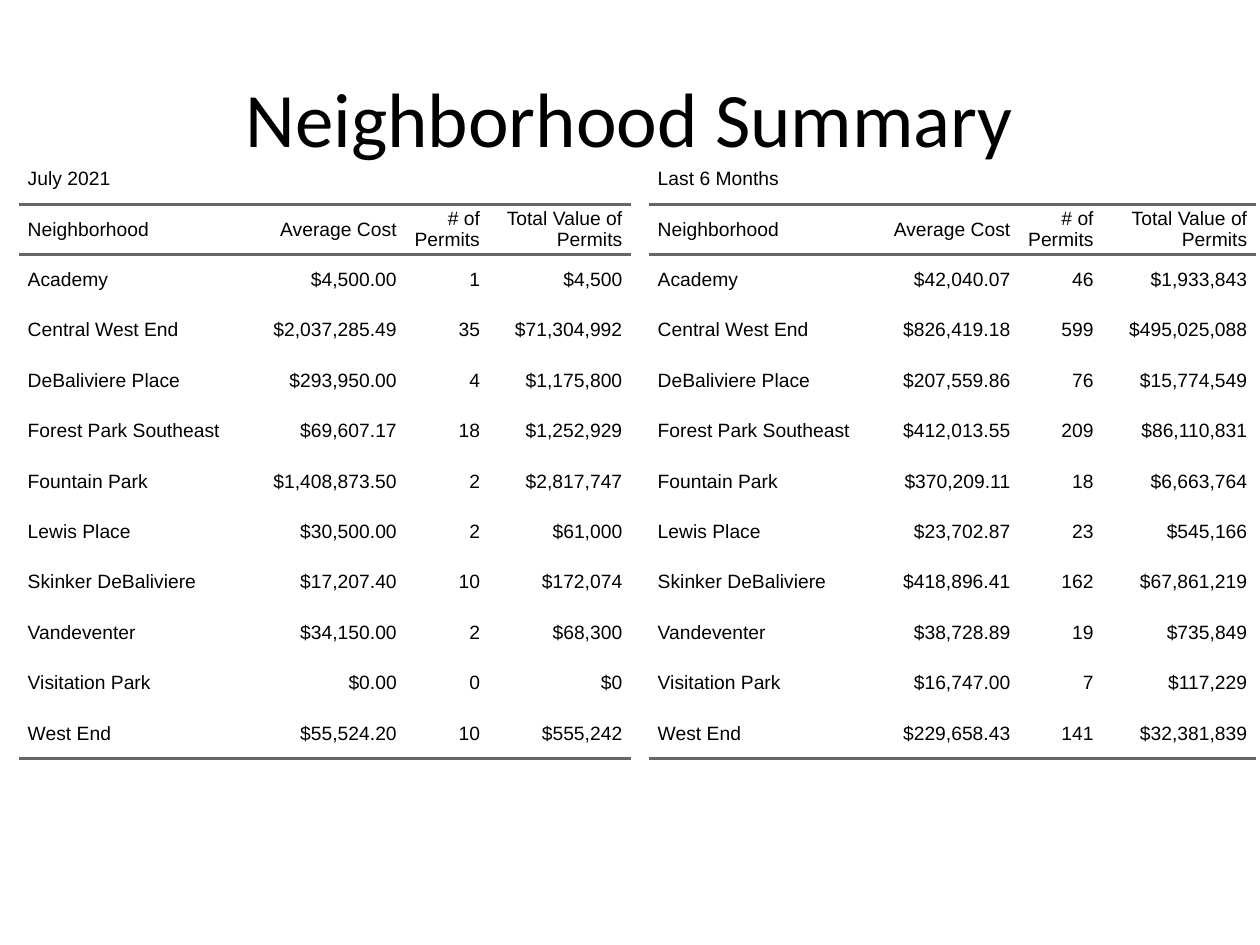
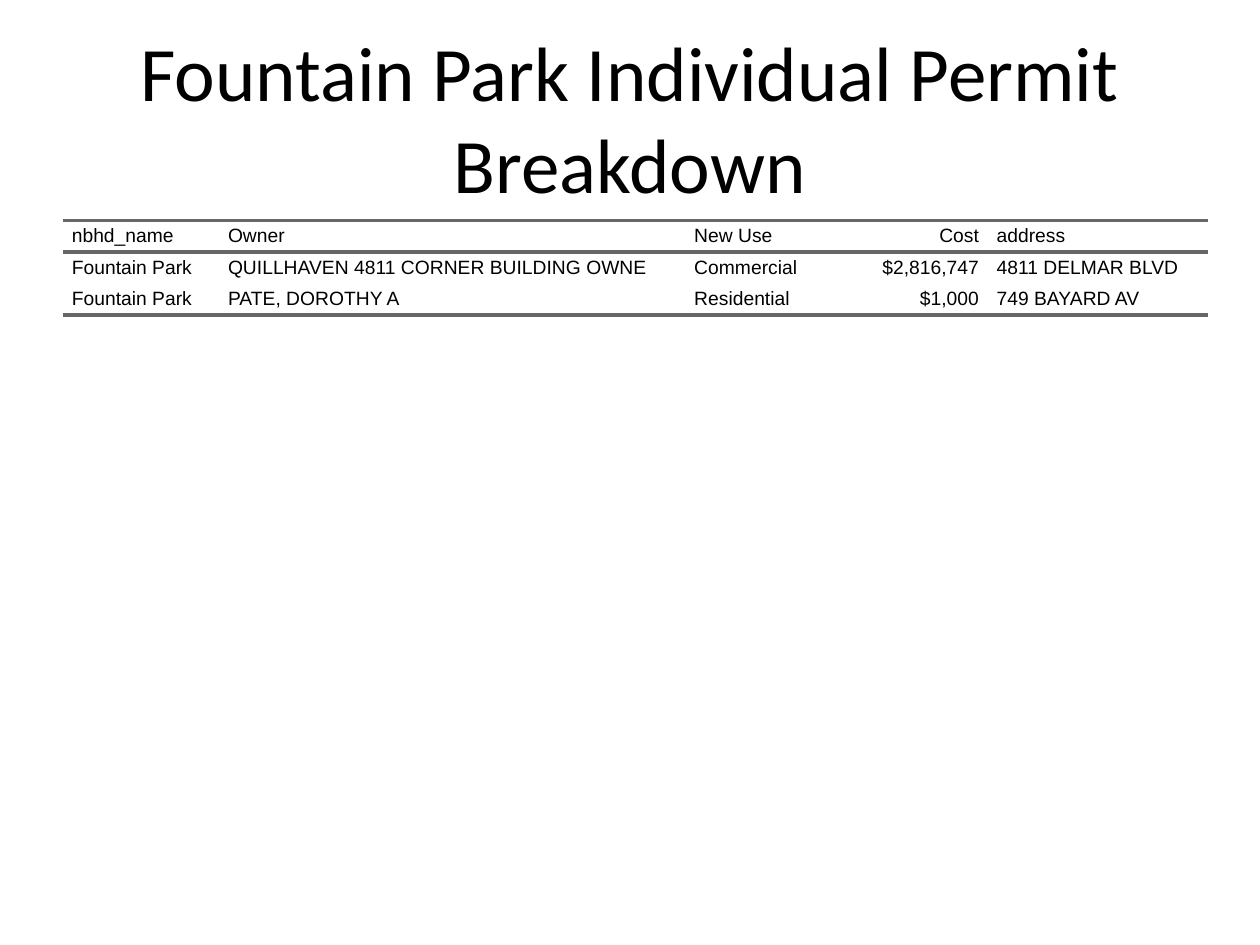
from lxml import etree
from pptx import Presentation
from pptx.dml.color import RGBColor
from pptx.enum.text import MSO_ANCHOR, PP_ALIGN
from pptx.oxml.ns import qn
from pptx.util import Inches, Pt

MID = MSO_ANCHOR.MIDDLE
LEFT, CENTER, RIGHT = PP_ALIGN.LEFT, PP_ALIGN.CENTER, PP_ALIGN.RIGHT
INK, RULE = "000000", "666666"
PLAIN = "{2D5ABB26-0587-4C30-8999-92F81FD0307C}"  # no style, no grid
PAD = Inches(0.07)

prs = Presentation()
prs.slide_width, prs.slide_height = Inches(10), Inches(7.5)


def add_page(title):
    """Blank slide with the shared centred title."""
    page = prs.slides.add_slide(prs.slide_layouts[6])
    frame = page.shapes.add_textbox(Inches(0.5), Inches(0.3), Inches(9), Inches(1.25)).text_frame
    frame.word_wrap = True
    frame.vertical_anchor = MID
    frame.text = title
    para = frame.paragraphs[0]
    para.alignment = CENTER
    font = para.runs[0].font
    font.name, font.size = "Calibri", Pt(44)
    font.color.rgb = RGBColor.from_string(INK)
    return page


def add_grid(page, left, top, widths, height, rows, aligns, head=0):
    """Table with rules around the head row and under the last row."""
    table = page.shapes.add_table(
        len(rows), len(widths), Inches(left), Inches(top),
        Inches(sum(widths)), Inches(height * len(rows))).table
    table.first_row = table.horz_banding = False
    table._tbl.tblPr.find(qn("a:tableStyleId")).text = PLAIN
    for col, width in zip(table.columns, widths):
        col.width = Inches(width)
    if head:  # caption row above the head
        table.cell(0, 0).merge(table.cell(0, len(widths) - 1))
    sides = {head: ("a:lnT", "a:lnB"), len(rows) - 1: ("a:lnB",)}
    for r, row in enumerate(rows):
        table.rows[r].height = Inches(height)
        for c in range(len(widths)):
            cell = table.cell(r, c)
            cell.margin_left = cell.margin_right = cell.margin_top = cell.margin_bottom = 0
            cell.vertical_anchor = MID
            # Cell rules
            props = cell._tc.get_or_add_tcPr()
            for side in sides.get(r, ()):
                line = etree.SubElement(props, qn(side), w=str(Pt(2)))
                fill = etree.SubElement(line, qn("a:solidFill"))
                etree.SubElement(fill, qn("a:srgbClr"), val=RULE)
            cell.fill.background()
            if c >= len(row):
                continue
            # Cell text
            cell.text = row[c]
            para = cell.text_frame.paragraphs[0]
            para.alignment = aligns[c]
            inset = para._p.get_or_add_pPr()
            for key in ("marL", "marR"):
                inset.set(key, str(PAD))
            inset.set("indent", "0")
            font = para.runs[0].font
            font.name, font.size = "Arial", Pt(11)
            font.color.rgb = RGBColor.from_string(INK)


# Slide 1: one table per period, side by side
areas = ["Academy", "Central West End", "DeBaliviere Place", "Forest Park Southeast",
         "Fountain Park", "Lewis Place", "Skinker DeBaliviere", "Vandeventer",
         "Visitation Park", "West End"]
heads = ("Neighborhood", "Average Cost", "# of Permits", "Total Value of Permits")
# Average cost, number of permits, total value
month = [
    (4500, 1, 4500), (2037285.49, 35, 71304992), (293950, 4, 1175800),
    (69607.17, 18, 1252929), (1408873.5, 2, 2817747), (30500, 2, 61000),
    (17207.4, 10, 172074), (34150, 2, 68300), (0, 0, 0), (55524.2, 10, 555242),
]
half = [
    (42040.07, 46, 1933843), (826419.18, 599, 495025088), (207559.86, 76, 15774549),
    (412013.55, 209, 86110831), (370209.11, 18, 6663764), (23702.87, 23, 545166),
    (418896.41, 162, 67861219), (38728.89, 19, 735849), (16747, 7, 117229),
    (229658.43, 141, 32381839),
]
page = add_page("Neighborhood Summary")
for left, label, widths, stats in (
    (0.15, "July 2021", (1.81, 1.26, 0.66, 1.13), month),
    (5.15, "Last 6 Months", (1.81, 1.13, 0.66, 1.22), half),
):
    body = [(area, f"${mean:,.2f}", str(count), f"${total:,}")
            for area, (mean, count, total) in zip(areas, stats)]
    add_grid(page, left, 1.22, widths, 0.4, [(label,), heads, *body],
             (LEFT, RIGHT, RIGHT, RIGHT), head=1)

# Slide 2: single permits
page = add_page("Fountain Park Individual Permit Breakdown")
permits = [
    ("nbhd_name", "Owner", "New Use", "Cost", "address"),
    ("Fountain Park", "QUILLHAVEN 4811 CORNER BUILDING OWNE", "Commercial",
     "$2,816,747", "4811 DELMAR BLVD"),
    ("Fountain Park", "PATE, DOROTHY A", "Residential", "$1,000", "749 BAYARD AV"),
]
add_grid(page, 0.5, 1.75, (1.24, 3.7, 1.1, 1.3, 1.75), 0.25, permits,
         (LEFT, LEFT, LEFT, RIGHT, LEFT))

prs.save("out.pptx")
